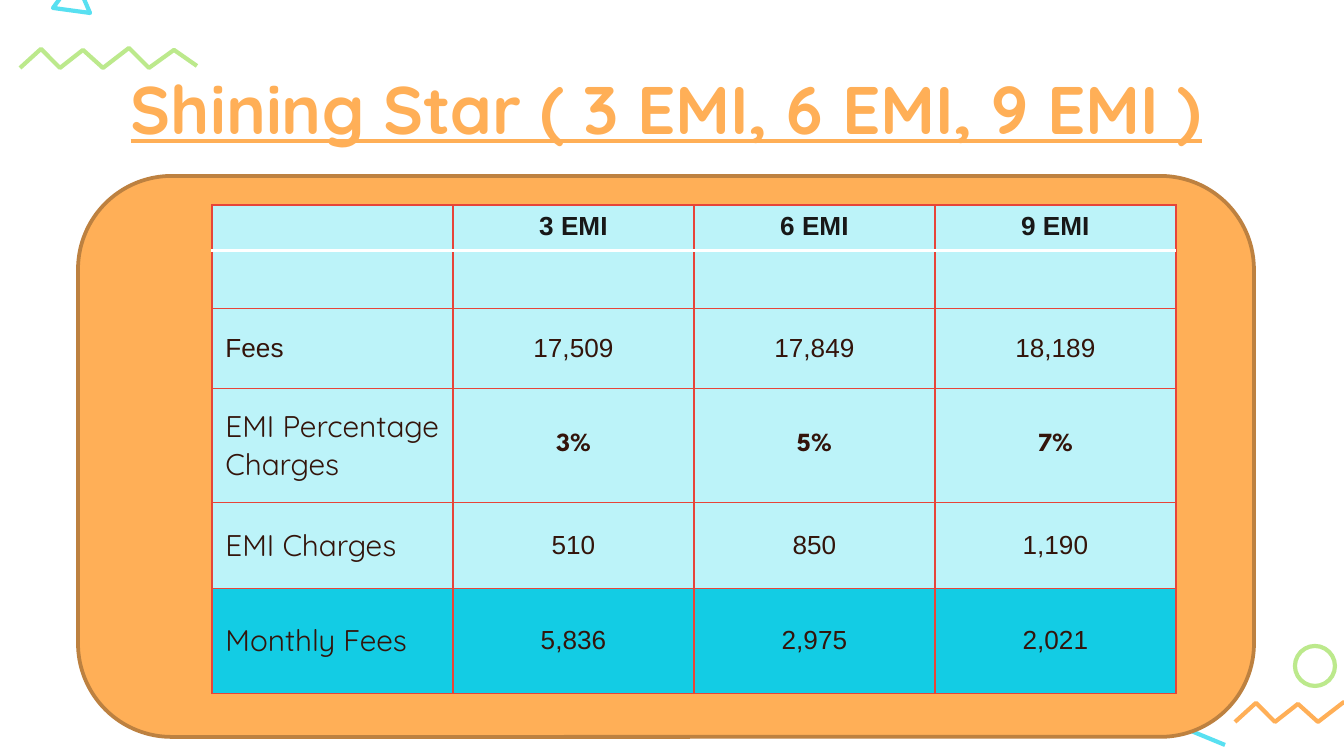
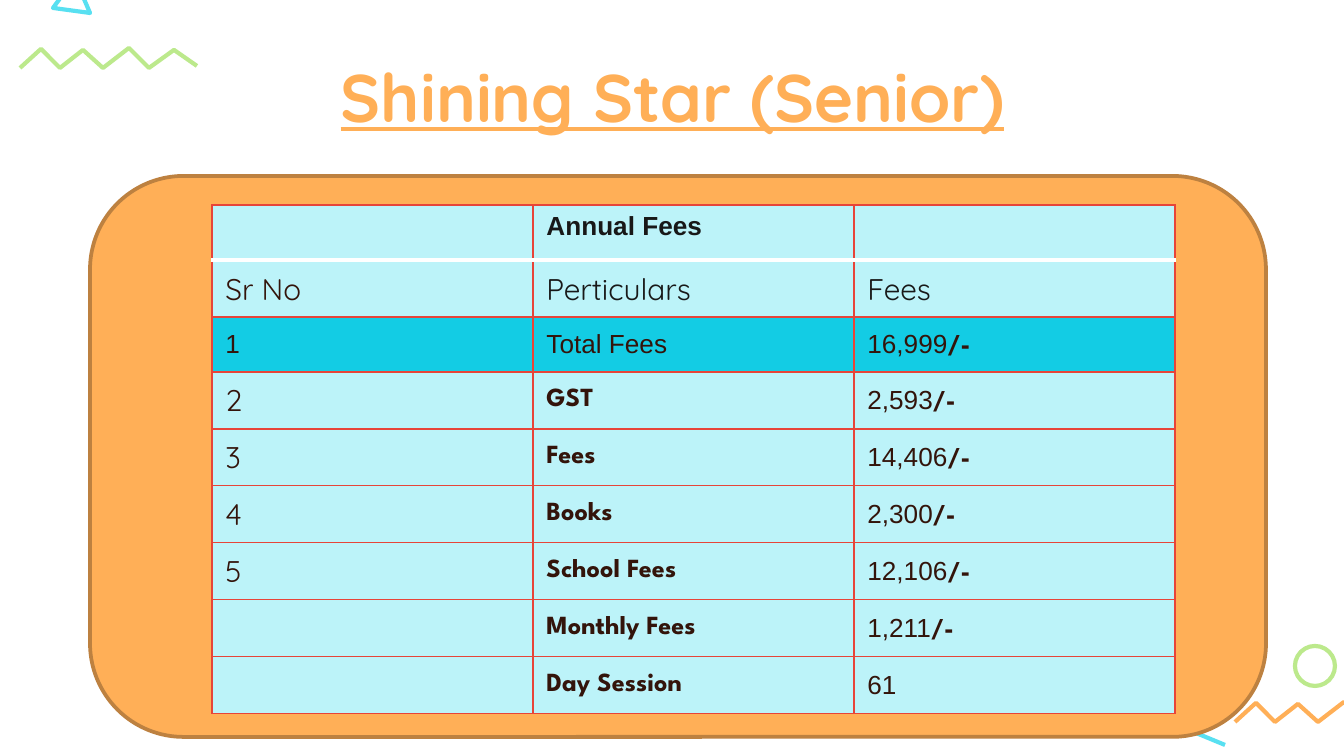
from lxml import etree
from pptx import Presentation
from pptx.dml.color import RGBColor
from pptx.enum.shapes import MSO_CONNECTOR, MSO_SHAPE
from pptx.enum.text import MSO_ANCHOR, PP_ALIGN
from pptx.oxml.ns import qn
from pptx.util import Pt

LEFT, CENTER = PP_ALIGN.LEFT, PP_ALIGN.CENTER
TOP, MIDDLE, BOTTOM = MSO_ANCHOR.TOP, MSO_ANCHOR.MIDDLE, MSO_ANCHOR.BOTTOM
OVAL, ROUNDED = MSO_SHAPE.OVAL, MSO_SHAPE.ROUNDED_RECTANGLE
STRAIGHT = MSO_CONNECTOR.STRAIGHT

EMU_PER_PIXEL = 914400 / 134.4
COLORS = {
    "orange": "FFAF57", "brown": "BD8140", "green": "BCE98C", "sky": "58E0F1",
    "pale": "BCF3F9", "cyan": "13CCE4", "red": "E74439", "white": "FFFFFF",
    "ink": "181818", "cocoa": "33140B",
}
STYLES = {
    "title": ("Quicksand", 36, "orange", True),
    "header": ("Arial", 14, "ink", True),
    "plain": ("Arial", 14, "cocoa", False),
    "label": ("Quicksand", 16, "cocoa", False),
    "label_ink": ("Quicksand", 16, "ink", False),
    "accent": ("League Spartan", 14, "cocoa", True),
}
ZIGZAG = [(0, 20), (21, 1), (40, 20), (63, 2), (83, 20), (109, 0), (129, 20), (154, 2), (177, 18)]
TRIANGLE = [(37, 35), (22, 0), (0, 30)]


def px(length):
    return round(length * EMU_PER_PIXEL)


def rgb(name):
    return RGBColor.from_string(COLORS[name])


def add_run(paragraph, text, style):
    name, size, color, bold = STYLES[style]
    run = paragraph.add_run()
    run.text = text
    run.font.name = name
    run.font.size = Pt(size)
    run.font.bold = bold
    run.font.color.rgb = rgb(color)
    return run


def style_outline(shape, color, width=2.25):
    shape.shadow.inherit = False
    shape.line.color.rgb = rgb(color)
    shape.line.width = Pt(width)


def add_outline(slide, left, top, points, color, close=False):
    places = [(left + x, top + y) for x, y in points]
    builder = slide.shapes.build_freeform(*places[0], scale=EMU_PER_PIXEL)
    builder.add_line_segments(places[1:], close=close)
    shape = builder.convert_to_shape()
    shape.fill.background()
    style_outline(shape, color)


def add_decorations(slide):
    add_outline(slide, 20, 48, ZIGZAG, "green")
    add_outline(slide, 53, -22, TRIANGLE, "sky", close=True)
    circle = slide.shapes.add_shape(OVAL, px(1295), px(646), px(40), px(40))
    circle.fill.background()
    style_outline(circle, "green")
    add_outline(slide, 1235, 702, ZIGZAG, "orange")
    stroke = slide.shapes.add_connector(STRAIGHT, px(1179), px(726), px(1225), px(745))
    stroke.line.color.rgb = rgb("sky")
    stroke.line.width = Pt(2.25)
    etree.SubElement(stroke.element.spPr, qn("a:effectLst"))


def add_title(slide, box, text):
    frame = slide.shapes.add_textbox(*map(px, box)).text_frame
    frame.word_wrap = True
    frame.vertical_anchor = TOP
    frame.margin_left = frame.margin_right = px(13)
    frame.margin_top = frame.margin_bottom = px(13)
    paragraph = frame.paragraphs[0]
    paragraph.alignment = CENTER
    add_run(paragraph, text, "title").font.underline = True


def add_panel(slide, left):
    panel = slide.shapes.add_shape(ROUNDED, px(left), px(176), px(1176), px(561))
    panel.fill.solid()
    panel.fill.fore_color.rgb = rgb("orange")
    style_outline(panel, "brown", 2)


def set_borders(cell, white_sides):
    properties = cell._tc.get_or_add_tcPr()
    for side in "LRTB":
        color, width = ("white", 2) if side in white_sides else ("red", 0.75)
        line = etree.SubElement(properties, qn("a:ln" + side), w=str(Pt(width)))
        fill = etree.SubElement(line, qn("a:solidFill"))
        etree.SubElement(fill, qn("a:srgbClr"), val=COLORS[color])


def fill_cell(cell, runs, fill, alignment, anchor, white_sides, margin):
    set_borders(cell, white_sides)
    cell.fill.solid()
    cell.fill.fore_color.rgb = rgb(fill)
    cell.vertical_anchor = anchor
    cell.margin_top = cell.margin_bottom = px(margin)
    paragraph = cell.text_frame.paragraphs[0]
    paragraph.alignment = alignment
    for text, style in runs:
        add_run(paragraph, text, style)
    if not runs:
        etree.SubElement(paragraph._p, qn("a:endParaRPr"), sz="1400")


def add_fee_table(slide, left, top, column_width, heights, rows, alignments, highlight, anchors):
    columns = len(alignments)
    frame = slide.shapes.add_table(
        len(rows), columns, px(left), px(top), px(column_width * columns), px(sum(heights)))
    table = frame.table
    table.first_row = table.horz_banding = False
    for column in table.columns:
        column.width = px(column_width)
    for index, (height, row) in enumerate(zip(heights, rows)):
        table.rows[index].height = px(height)
        fill = "cyan" if index == highlight else "pale"
        white_sides = {0: "B", 1: "T"}.get(index, "")
        margin = 9 if index else 7
        for column, runs in enumerate(row):
            fill_cell(table.cell(index, column), runs, fill, alignments[column],
                      anchors.get(index, MIDDLE), white_sides, margin)


def add_fee_slide(presentation, title, title_box, panel_left, **table):
    slide = presentation.slides.add_slide(presentation.slide_layouts[6])
    add_decorations(slide)
    add_title(slide, title_box, title)
    add_panel(slide, panel_left)
    add_fee_table(slide, 212, 205, **table)


def styled_row(style, *texts):
    return [[(text, style)] for text in texts]


def instalment_row(label, label_style, value_style, *values):
    return styled_row(label_style, label) + styled_row(value_style, *values)


def particular_row(number, name, amount):
    return [
        [(number, "label")] if number else [],
        [(name, "accent")],
        [(amount, "plain"), ("/-", "accent")],
    ]


INSTALMENT_ROWS = [
    [[]] + styled_row("header", "3 EMI", "6 EMI", "9 EMI"),
    [[]] * 4,
    instalment_row("Fees", "plain", "plain", "17,509", "17,849", "18,189"),
    instalment_row("EMI Percentage Charges", "label", "accent", "3%", "5%", "7%"),
    instalment_row("EMI Charges", "label", "plain", "510", "850", "1,190"),
    instalment_row("Monthly Fees", "label", "plain", "5,836", "2,975", "2,021"),
]
ANNUAL_ROWS = [
    [[], [("Annual Fees", "header")], []],
    styled_row("label", "Sr No") + styled_row("label_ink", "Perticulars", "Fees"),
    styled_row("plain", "1", "Total Fees") + [[("16,999", "plain"), ("/-", "accent")]],
    particular_row("2", "GST", "2,593"),
    particular_row("3", "Fees", "14,406"),
    particular_row("4", "Books", "2,300"),
    particular_row("5", "School Fees", "12,106"),
    particular_row("", "Monthly Fees", "1,211"),
    [[], [("Day Session", "accent")], [("61", "plain")]],
]

presentation = Presentation()
presentation.slide_width, presentation.slide_height = px(1344), px(756)
add_fee_slide(
    presentation, "Shining Star ( 3 EMI, 6 EMI, 9 EMI )", (87, 54, 1159, 113), 78,
    column_width=241, heights=[43, 58, 80, 114, 86, 105], rows=INSTALMENT_ROWS,
    alignments=[LEFT] + [CENTER] * 3, highlight=5, anchors={0: TOP})
add_fee_slide(
    presentation, "Shining Star (Senior)", (175, 42, 995, 138), 90,
    column_width=321, heights=[55, 57, 55] + [57] * 6, rows=ANNUAL_ROWS,
    alignments=[LEFT] * 3, highlight=2, anchors={0: TOP, 1: BOTTOM})
presentation.save("out.pptx")
